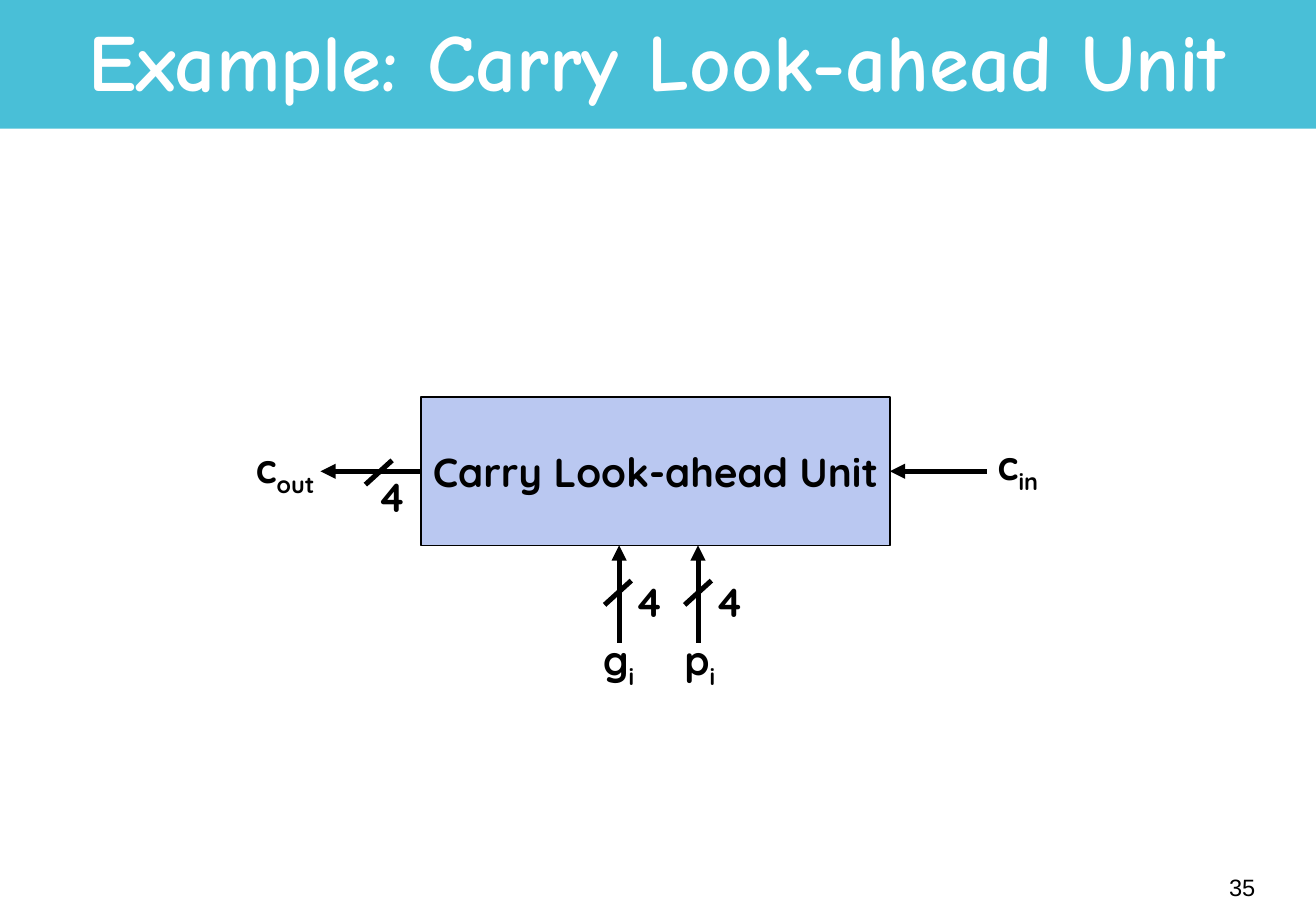
from lxml import etree
from pptx import Presentation
from pptx.dml.color import RGBColor
from pptx.enum.shapes import MSO_CONNECTOR, MSO_SHAPE
from pptx.enum.text import MSO_ANCHOR, PP_ALIGN
from pptx.oxml.ns import qn
from pptx.util import Pt

PX = 9144
RECTANGLE = MSO_SHAPE.RECTANGLE
STRAIGHT = MSO_CONNECTOR.STRAIGHT
TOP, MIDDLE = MSO_ANCHOR.TOP, MSO_ANCHOR.MIDDLE
LEFT, CENTER, RIGHT = PP_ALIGN.LEFT, PP_ALIGN.CENTER, PP_ALIGN.RIGHT
LEFT_SIDE, RIGHT_SIDE = 1, 3

THEME = {
    "banner": RGBColor.from_string("49BFD7"),
    "unit": RGBColor.from_string("BAC8F1"),
    "ink": RGBColor.from_string("000000"),
    "white": RGBColor.from_string("FFFFFF"),
    "title": ("Comic Neue", 48, True),
    "label": ("Quicksand", 24, True),
    "number": ("Arial", 14, False),
}


def write(shape, text, style, color="ink", align=LEFT, anchor=TOP, wrap=False, subscript=""):
    frame = shape.text_frame
    frame.text = text
    frame.word_wrap = wrap
    frame.vertical_anchor = anchor
    para = frame.paragraphs[0]
    para.alignment = align
    if subscript:
        span = para.add_run()
        span.text = subscript
        span._r.get_or_add_rPr().set("baseline", "-25000")
    for span in para.runs:
        span.font.name, size, span.font.bold = THEME[style]
        span.font.size = Pt(size)
        span.font.color.rgb = THEME[color]
    return para


def draw_line(x1, y1, x2, y2, arrow=False):
    line = page.shapes.add_connector(STRAIGHT, x1 * PX, y1 * PX, x2 * PX, y2 * PX)
    line.line.color.rgb = THEME["ink"]
    line.line.width = Pt(3)
    if arrow:
        etree.SubElement(line.line._get_or_add_ln(), qn("a:tailEnd"), type="triangle")
    etree.SubElement(line._element.spPr, qn("a:effectLst"))
    return line


deck = Presentation()
deck.slide_width = 1084 * PX
deck.slide_height = 750 * PX
page = deck.slides.add_slide(deck.slide_layouts[6])

banner = page.shapes.add_shape(RECTANGLE, 0, 0, 1084 * PX, 106 * PX)
banner.shadow.inherit = False
banner.fill.solid()
banner.fill.fore_color.rgb = THEME["banner"]
banner.line.fill.background()

title = page.shapes.add_textbox(0, 5 * PX, 1083 * PX, 99 * PX)
title_para = write(title, "Example: Carry Look-ahead Unit", "title", "white", CENTER, MIDDLE, True)
title_para.line_spacing = 0.85

unit = page.shapes.add_shape(RECTANGLE, 347 * PX, 327 * PX, 386 * PX, 122 * PX)
unit.shadow.inherit = False
unit.fill.solid()
unit.fill.fore_color.rgb = THEME["unit"]
unit.line.color.rgb = THEME["ink"]
unit.line.width = Pt(1)
write(unit, "Carry Look-ahead Unit", "label", align=CENTER, anchor=MIDDLE)

carry_in = draw_line(813, 388, 733, 388, arrow=True)
carry_in.end_connect(unit, RIGHT_SIDE)
carry_out = draw_line(347, 388, 264, 388, arrow=True)
carry_out.begin_connect(unit, LEFT_SIDE)

for x in (510, 575):
    draw_line(x, 529, x, 449, arrow=True)

for x, y in ((301, 379), (498, 478), (564, 478)):
    draw_line(x + 22, y, x, y + 20)

labels = [
    ("c", "out", 201, 360, 70, 56),
    ("c", "in", 812, 357, 55, 56),
    ("g", "i", 487, 518, 47, 56),
    ("p", "i", 554, 518, 47, 56),
    ("4", "", 301, 384, 39, 50),
    ("4", "", 513, 470, 39, 50),
    ("4", "", 579, 470, 39, 50),
]
for text, subscript, x, y, width, height in labels:
    label = page.shapes.add_textbox(x * PX, y * PX, width * PX, height * PX)
    write(label, text, "label", subscript=subscript)

number = page.shapes.add_textbox(818 * PX, 710 * PX, 226 * PX, 40 * PX)
write(number, "35", "number", align=RIGHT, anchor=MIDDLE, wrap=True)

deck.save("out.pptx")
